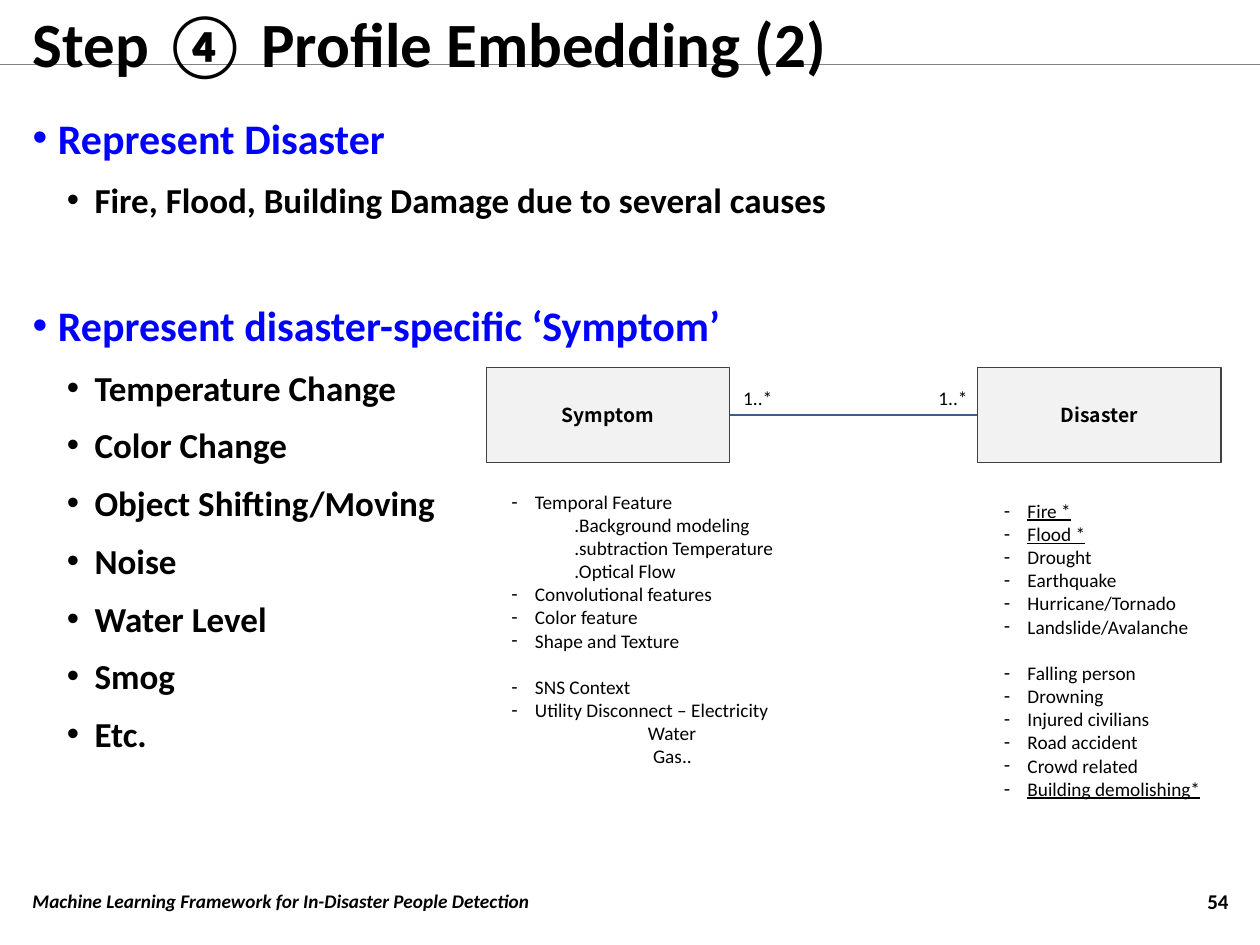
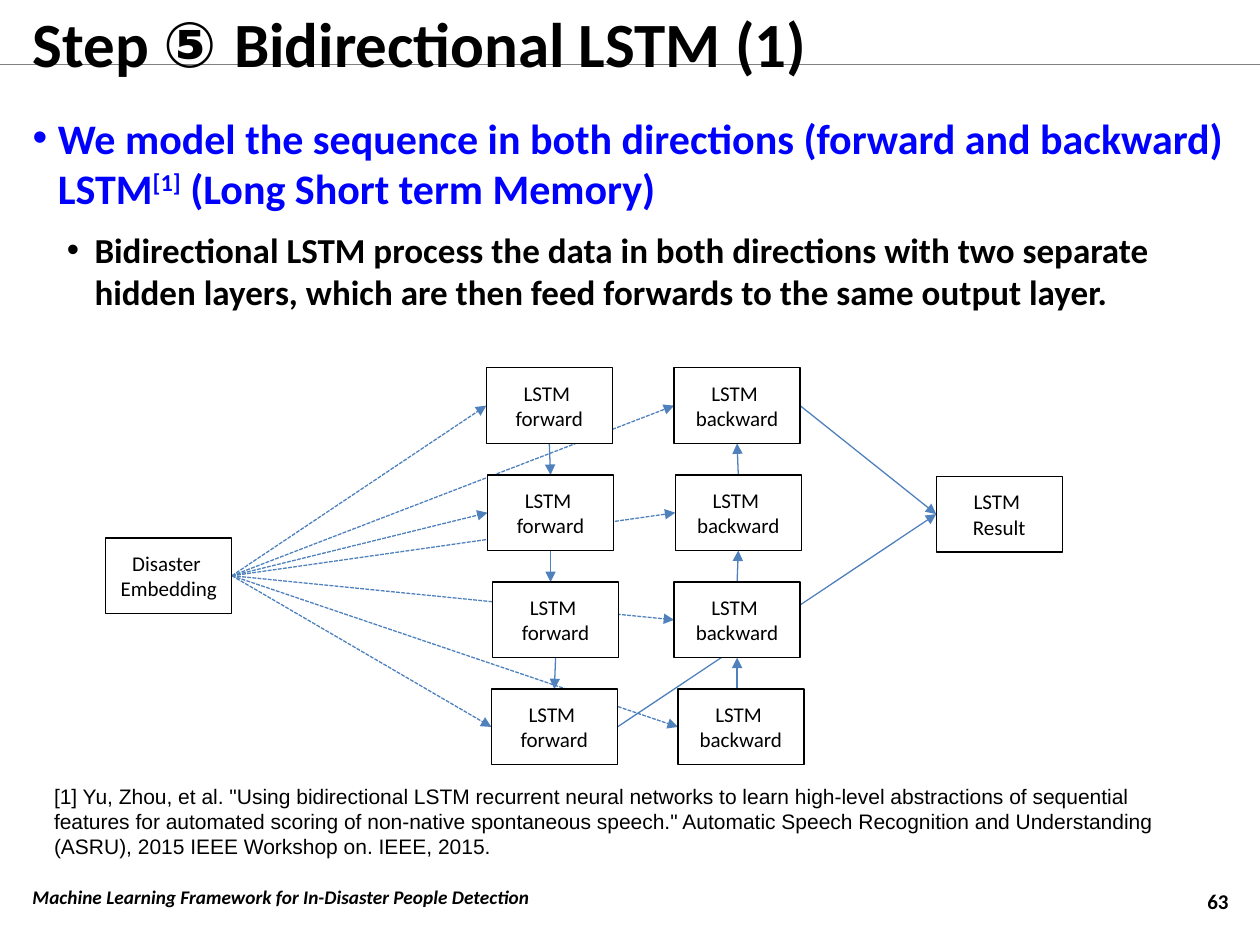
"""Builds two slides on profile embedding and bidirectional LSTM."""
from collections import namedtuple
from lxml.etree import SubElement
from pptx import Presentation
from pptx.dml.color import RGBColor
from pptx.enum.dml import MSO_LINE as Dash
from pptx.enum.shapes import MSO_CONNECTOR as Wire, MSO_SHAPE as Form
from pptx.enum.text import MSO_ANCHOR as Anchor, MSO_AUTO_SIZE as Fit, PP_ALIGN as Align
from pptx.oxml.ns import qn
from pptx.util import Pt

rgb = RGBColor.from_string
BLACK, BLUE, STEEL = "000000", "0000FF", "4F81BD"

Style = namedtuple("Style", "size bold hue sign left hang gap align face",
                   defaults=(False, BLACK, "", 0, 0, 0, Align.LEFT, "Calibri"))
head = Style(24, True, BLUE, "•", 14.4, 14.4, 12)
item = Style(20, True, BLACK, "•", 35.3, 15.8, 9)
dash = Style(11, sign="-", left=13.5, hang=13.5)
STYLES = {
    "title": Style(36, True),
    "foot": Style(11, True),
    "page": Style(12, True, align=Align.RIGHT),
    "head": head,
    "head apart": head._replace(gap=45.4),
    "item": item,
    "dash": dash,
    "dash apart": dash._replace(gap=13.4),
    "sub": Style(11, left=36),
    "water": Style(11, left=78),
    "gas": Style(11, left=81),
    "label": Style(11),
    "class": Style(11, True, align=Align.CENTER, face="Noto Sans CJK KR"),
    "node": Style(12, align=Align.CENTER),
    "cite": Style(12, face="Arial"),
}


def write(box, rows, anchor=Anchor.MIDDLE):
    """Fill a box with (style, text) rows; ^ parts the runs of a row."""
    frame = box.text_frame
    frame.text = "\n" * (len(rows) - 1)
    frame.word_wrap = True
    frame.auto_size = Fit.NONE
    frame.vertical_anchor = anchor
    for i, (para, (name, text)) in enumerate(zip(frame.paragraphs, rows)):
        style = STYLES[name]
        para.alignment = style.align
        para.space_before = Pt(style.gap if i else 0)
        props = para._p.get_or_add_pPr()
        props.set("marL", str(Pt(style.left)))
        props.set("indent", str(-Pt(style.hang)))
        if style.sign:
            SubElement(props, qn("a:buFont"), typeface="Arial")
            SubElement(props, qn("a:buChar"), char=style.sign)
        else:
            SubElement(props, qn("a:buNone"))
        for part in text.split("^"):
            run = para.add_run()
            run.text = part
            run.font.size = Pt(style.size)
            run.font.bold = style.bold
            run.font.name = style.face
            run.font.color.rgb = rgb(style.hue)


def link(slide, x1, y1, x2, y2, hue, arrow=False):
    """Draw a thin straight line behind the other shapes."""
    line = slide.shapes.add_connector(Wire.STRAIGHT, Pt(x1), Pt(y1), Pt(x2), Pt(y2))
    line.line.color.rgb = rgb(hue)
    line.line.width = Pt(0.75)
    props = line.element.spPr
    SubElement(props, qn("a:effectLst"))
    if arrow:
        SubElement(props.find(qn("a:ln")), qn("a:tailEnd"), type="triangle")
    slide.shapes.element.insert(2, line.element)
    return line


deck = Presentation()
deck.slide_width, deck.slide_height = Pt(720), Pt(540)

topics = [
    ("Step ④ Profile Embedding (2)", "54", 500.4, [
        ("head", "Represent Disaster"),
        ("item", "Fire, Flood, Building Damage due to several causes"),
        ("head apart", "Represent disaster-specific ‘Symptom’"),
        ("item", "Temperature Change"),
        ("item", "Color Change"),
        ("item", "Object Shifting/Moving"),
        ("item", "Noise"),
        ("item", "Water Level"),
        ("item", "Smog"),
        ("item", "Etc."),
    ]),
    ("Step ^⑤ ^Bidirectional LSTM (1)", "63", 498.2, [
        ("head", "We model the sequence in both directions (forward and backward) "
                 "LSTM^[1]^ (Long Short term Memory)"),
        ("item", "Bidirectional LSTM process the data in both directions with two separate "
                 "hidden layers, which are then feed forwards to the same output layer."),
    ]),
]

for title, page, foot, points in topics:
    slide = deck.slides.add_slide(deck.slide_layouts[1])
    name, body = slide.placeholders
    name.left, name.top, name.width, name.height = Pt(11.5), Pt(4.3), Pt(697.7), Pt(39.6)
    body.left, body.top, body.width, body.height = Pt(11.5), Pt(60.5), Pt(697.7), Pt(434.9)
    write(name, [("title", title)])
    write(body, points, Anchor.TOP)
    box = slide.shapes.add_textbox(Pt(649.4), Pt(500.4), Pt(59.8), Pt(28.8))
    write(box, [("page", page)])
    box = slide.shapes.add_textbox(Pt(11.5), Pt(foot), Pt(637.9), Pt(28.8))
    write(box, [("foot", "Machine Learning Framework for In-Disaster People Detection")])
    box.text_frame.paragraphs[0].runs[0].font.italic = True

first, second = deck.slides
rule = link(first, 0, 36.7, 720, 36.7, "808080")
deck.slide_master.shapes.element.insert(2, rule.element)

ends = []
for text, left in [("Symptom", 277.9), ("Disaster", 558.7)]:
    box = first.shapes.add_shape(Form.RECTANGLE, Pt(left), Pt(210.2), Pt(139), Pt(54))
    box.shadow.inherit = False
    box.fill.solid()
    box.fill.fore_color.rgb = rgb("F2F2F2")
    box.line.color.rgb = rgb("404040")
    box.line.width = Pt(0.75)
    write(box, [("class", text)])
    ends.append(box)
line = link(first, 416.9, 237.2, 558.7, 237.2, "3A5F8C")
line.begin_connect(ends[0], 3)
line.end_connect(ends[1], 1)

for left in (417.6, 529.2):
    box = first.shapes.add_textbox(Pt(left), Pt(216.7), Pt(36), Pt(20.9))
    write(box, [("label", "1..*")])

traits = first.shapes.add_textbox(Pt(285.1), Pt(276.5), Pt(167), Pt(180.7))
write(traits, [
    ("dash", "Temporal Feature"),
    ("sub", ".Background modeling"),
    ("sub", ".subtraction Temperature"),
    ("sub", ".Optical Flow"),
    ("dash", "Convolutional features"),
    ("dash", "Color feature"),
    ("dash", "Shape and Texture"),
    ("dash apart", "SNS Context"),
    ("dash", "Utility Disconnect – Electricity"),
    ("water", "Water"),
    ("gas", "Gas.."),
], Anchor.TOP)

kinds = first.shapes.add_textbox(Pt(566.6), Pt(281.7), Pt(130), Pt(180.7))
write(kinds, [
    ("dash", "Fire *"),
    ("dash", "Flood *"),
    ("dash", "Drought"),
    ("dash", "Earthquake"),
    ("dash", "Hurricane/Tornado"),
    ("dash", "Landslide/Avalanche"),
    ("dash apart", "Falling person"),
    ("dash", "Drowning"),
    ("dash", "Injured civilians"),
    ("dash", "Road accident"),
    ("dash", "Crowd related"),
    ("dash", "Building demolishing*"),
], Anchor.TOP)
for para in kinds.text_frame.paragraphs:
    if para.text.endswith("*"):
        para.runs[0].font.underline = True

name, body = second.placeholders
name.text_frame.paragraphs[0].runs[1].font.name = "Arial"
power = body.text_frame.paragraphs[0].runs[1]
power._r.get_or_add_rPr().set("baseline", "30000")

cite = second.shapes.add_textbox(Pt(23.8), Pt(444.2), Pt(671.8), Pt(51.1))
write(cite, [("cite", '[1] Yu, Zhou, et al. "Using bidirectional LSTM recurrent neural networks to '
              'learn high-level abstractions of sequential features for automated scoring of '
              'non-native spontaneous speech." Automatic Speech Recognition and Understanding '
              '(ASRU), 2015 IEEE Workshop on. IEEE, 2015.')], Anchor.TOP)

WIDE, HIGH, TOP, STEP = 72, 43.2, 210.2, 61.2
ahead = [277.9, 278.6, 281.5, 280.8]
back = [385.2, 385.9, 385.2, 387.4]
plan = [("Disaster ", "Embedding", 60.5, 307.4), ("LSTM ", "Result", 535, 272.2)]
for word, lefts in [("forward", ahead), ("backward", back)]:
    plan += [("LSTM ", word, left, TOP + STEP * i) for i, left in enumerate(lefts)]

nodes = []
for upper, lower, left, top in plan:
    box = second.shapes.add_shape(Form.RECTANGLE, Pt(left), Pt(top), Pt(WIDE), Pt(HIGH))
    box.shadow.inherit = False
    box.fill.solid()
    box.fill.fore_color.rgb = rgb("FFFFFF")
    box.line.color.rgb = rgb(BLACK)
    box.line.width = Pt(0.75)
    write(box, [("node", upper), ("node", lower)])
    nodes.append(box)
source, result, *cells = nodes
fore, rear = cells[:4], cells[4:]

fan = [(source, cell, True) for cell in cells if cell is not fore[2]]
fan += [(fore[3], result, False), (rear[0], result, False)]
for start, end, dashed in fan:
    line = link(second, 0, 0, 10, 10, STEEL, True)
    line.begin_connect(start, 3)
    line.end_connect(end, 1)
    if dashed:
        line.line.dash_style = Dash.SQUARE_DOT

for i in range(3):
    high, low = TOP + STEP * i + HIGH, TOP + STEP * (i + 1)
    mid = ahead[i] + WIDE / 2
    line = link(second, mid, high, mid, low, STEEL, True)
    line.begin_connect(fore[i], 2)
    if abs(ahead[i + 1] - ahead[i]) < 1:
        line.end_connect(fore[i + 1], 0)
    mid = back[i] + WIDE / 2
    line = link(second, mid, low, mid, high, STEEL, True)
    line.end_connect(rear[i], 2)
    if abs(back[i + 1] - back[i]) < 1:
        line.begin_connect(rear[i + 1], 0)

deck.save("out.pptx")
